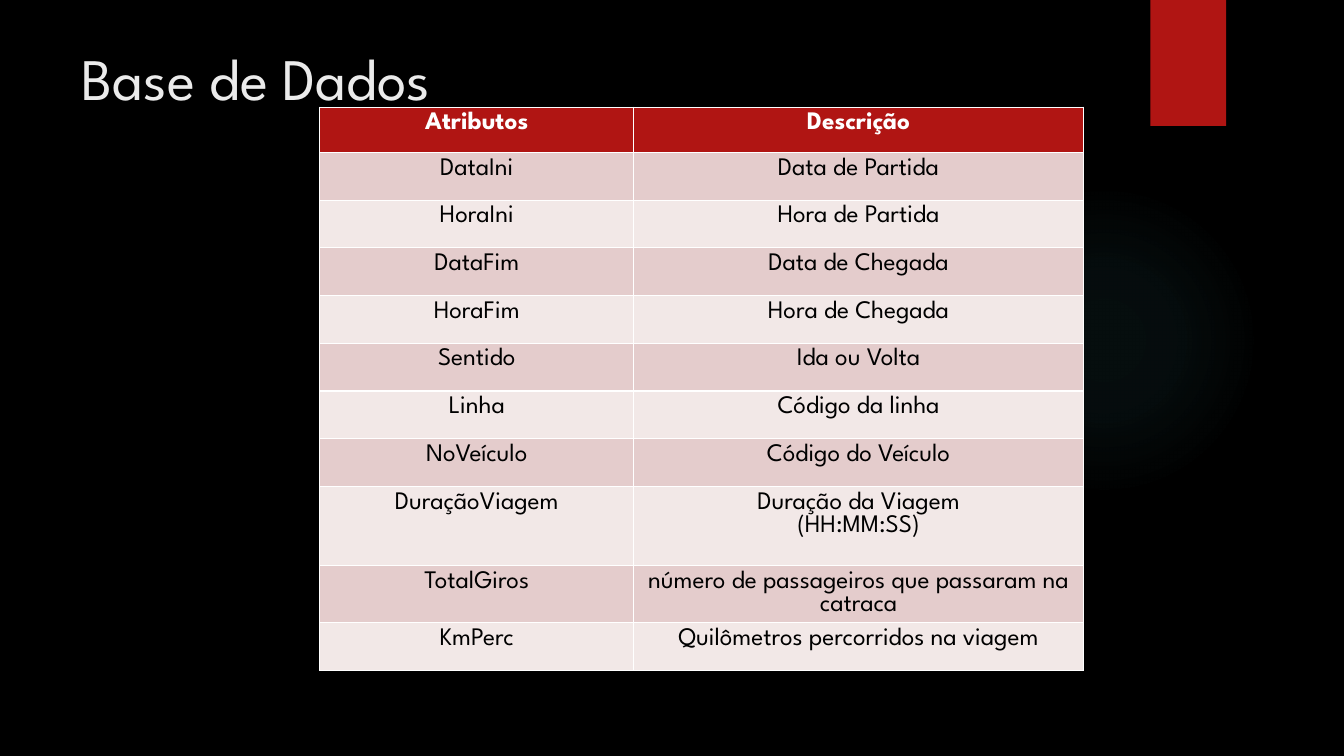
"""Build the "Base de Dados" slide: a title and a table of trip attributes."""
from dataclasses import dataclass

from lxml import etree
from pptx import Presentation
from pptx.dml.color import RGBColor
from pptx.enum.shapes import MSO_SHAPE
from pptx.enum.text import MSO_ANCHOR, PP_ALIGN
from pptx.oxml import parse_xml
from pptx.util import Pt

OVAL, RECTANGLE = MSO_SHAPE.OVAL, MSO_SHAPE.RECTANGLE
TOP, LEFT, CENTER = MSO_ANCHOR.TOP, PP_ALIGN.LEFT, PP_ALIGN.CENTER
TITLE_ONLY = 5
DRAWING_NS = "http://schemas.openxmlformats.org/drawingml/2006/main"


@dataclass(frozen=True)
class Theme:
    font: str = "League Spartan"
    title_size: int = 42
    table_size: int = 18
    background: str = "000000"
    accent: str = "B01513"
    glow: str = "50B9C1"
    title: str = "EBEBEB"
    header_text: str = "FFFFFF"
    body_text: str = "000000"
    bands: tuple = ("E4CCCC", "F2E8E7")


theme = Theme()


def add_span(para, text, size, color, bold=False):
    span = para.add_run()
    span.text = text
    span.font.name = theme.font
    span.font.size = Pt(size)
    span.font.bold = bold
    span.font.color.rgb = RGBColor.from_string(color)


def add_plain_shape(page, kind, left, top, width, height, color):
    shape = page.shapes.add_shape(kind, Pt(left), Pt(top), Pt(width), Pt(height))
    shape.shadow.inherit = False
    shape.fill.solid()
    shape.fill.fore_color.rgb = RGBColor.from_string(color)
    shape.line.fill.background()
    return shape


deck = Presentation()
deck.slide_width, deck.slide_height = Pt(960), Pt(540)
page = deck.slides.add_slide(deck.slide_layouts[TITLE_ONLY])
page.background.fill.solid()
page.background.fill.fore_color.rgb = RGBColor.from_string(theme.background)

glow = add_plain_shape(page, OVAL, 677.5, 131.8, 221.8, 221.8, theme.glow)
stops = "".join(
    f'<a:gs pos="{place * 1000}"><a:srgbClr val="{theme.glow}">'
    f'<a:alpha val="{opacity * 1000}"/></a:srgbClr></a:gs>'
    for place, opacity in ((0, 7), (36, 6), (69, 0))
)
gradient = parse_xml(
    f'<a:gradFill xmlns:a="{DRAWING_NS}"><a:gsLst>{stops}</a:gsLst><a:path path="circle">'
    '<a:fillToRect l="50000" t="50000" r="50000" b="50000"/></a:path></a:gradFill>'
)
solid = glow.element.spPr.find(etree.QName(DRAWING_NS, "solidFill").text)
solid.getparent().replace(solid, gradient)

add_plain_shape(page, RECTANGLE, 821.8, 0, 54, 90, theme.accent)

title = page.shapes.title
title.left, title.top, title.width, title.height = Pt(51), Pt(13), Pt(741), Pt(110)
title.text_frame.word_wrap = True
title.text_frame.vertical_anchor = TOP
title.text_frame.margin_top = Pt(17)
title_para = title.text_frame.paragraphs[0]
title_para.alignment = LEFT
add_span(title_para, "Base de Dados", theme.title_size, theme.title)

ROW = 34.1
rows = (
    (32.4, "Atributos", "Descrição"),
    (ROW, "DataIni", "Data de Partida"),
    (ROW, "HoraIni", "Hora de Partida"),
    (ROW, "DataFim", "Data de Chegada"),
    (ROW, "HoraFim", "Hora de Chegada"),
    (ROW, "Sentido", "Ida ou Volta"),
    (ROW, "Linha", "Código da linha"),
    (ROW, "NoVeículo", "Código do Veículo"),
    (56.7, "DuraçãoViagem", "Duração da Viagem\n(HH:MM:SS)"),
    (40.5, "TotalGiros", "número de passageiros que passaram na catraca"),
    (ROW, "KmPerc", "Quilômetros percorridos na viagem"),
)
columns = (224.4, 321)
heights = [row[0] for row in rows]
frame = page.shapes.add_table(
    len(rows), len(columns), Pt(228.4), Pt(76.5), Pt(sum(columns)), Pt(sum(heights))
)
attributes = frame.table
for column, width in zip(attributes.columns, columns):
    column.width = Pt(width)

for row_index, (height, *texts) in enumerate(rows):
    attributes.rows[row_index].height = Pt(height)
    header = row_index == 0
    fill = theme.accent if header else theme.bands[(row_index - 1) % 2]
    color = theme.header_text if header else theme.body_text
    for column_index, text in enumerate(texts):
        cell = attributes.cell(row_index, column_index)
        cell.fill.solid()
        cell.fill.fore_color.rgb = RGBColor.from_string(fill)
        for line_index, line in enumerate(text.split("\n")):
            body = cell.text_frame
            para = body.add_paragraph() if line_index else body.paragraphs[0]
            para.alignment = CENTER
            add_span(para, line, theme.table_size, color, header)

deck.save("out.pptx")
